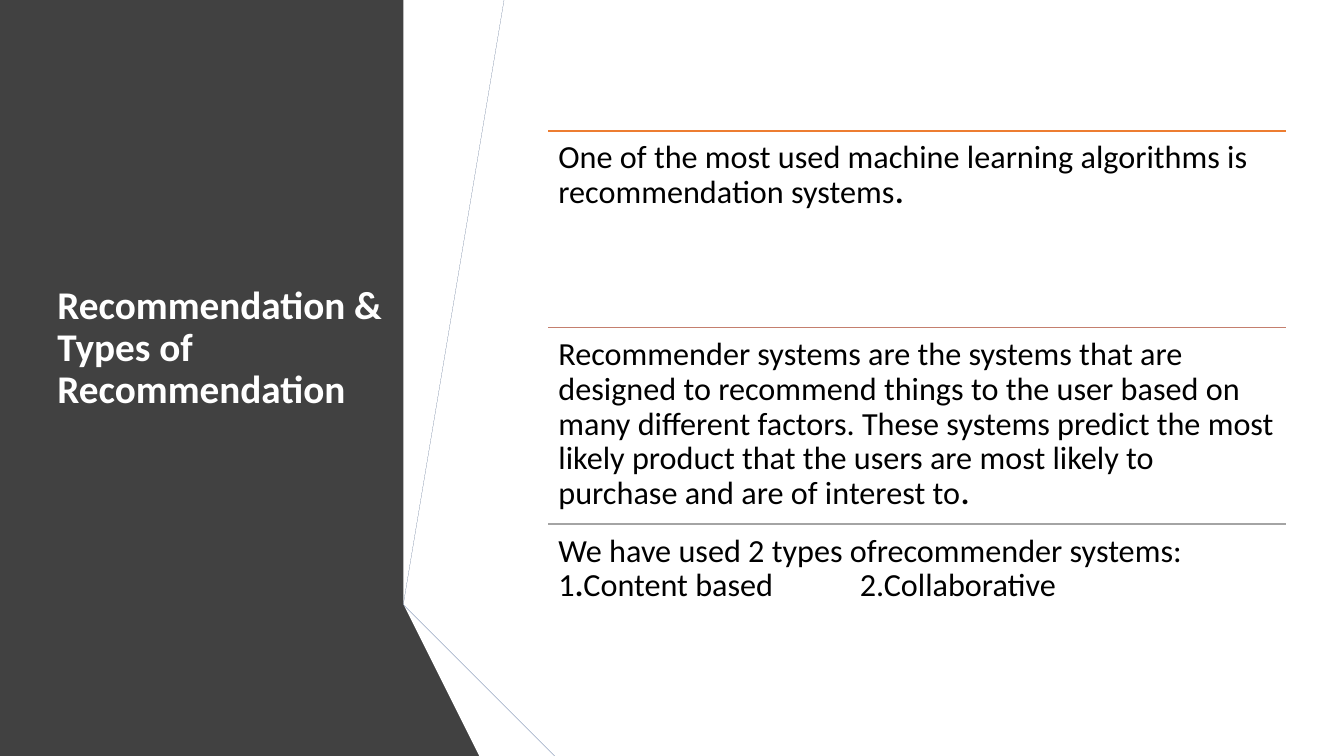
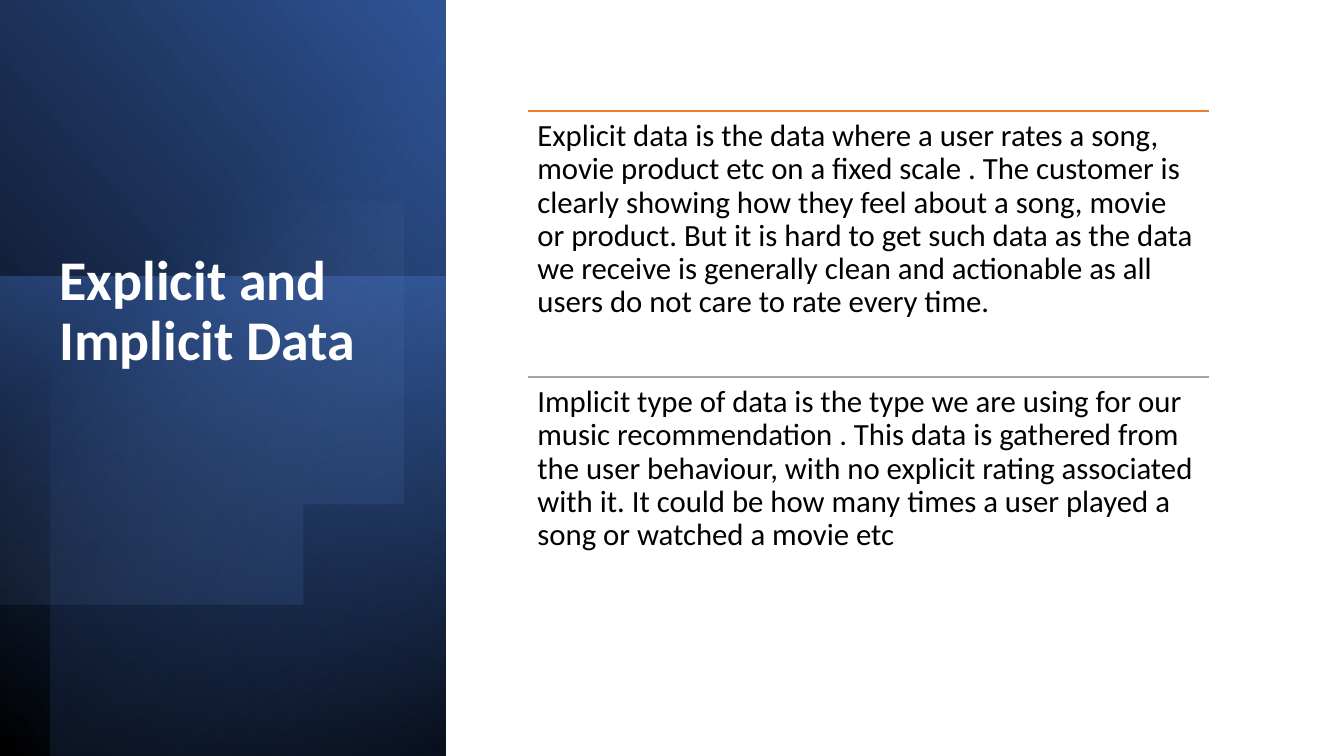
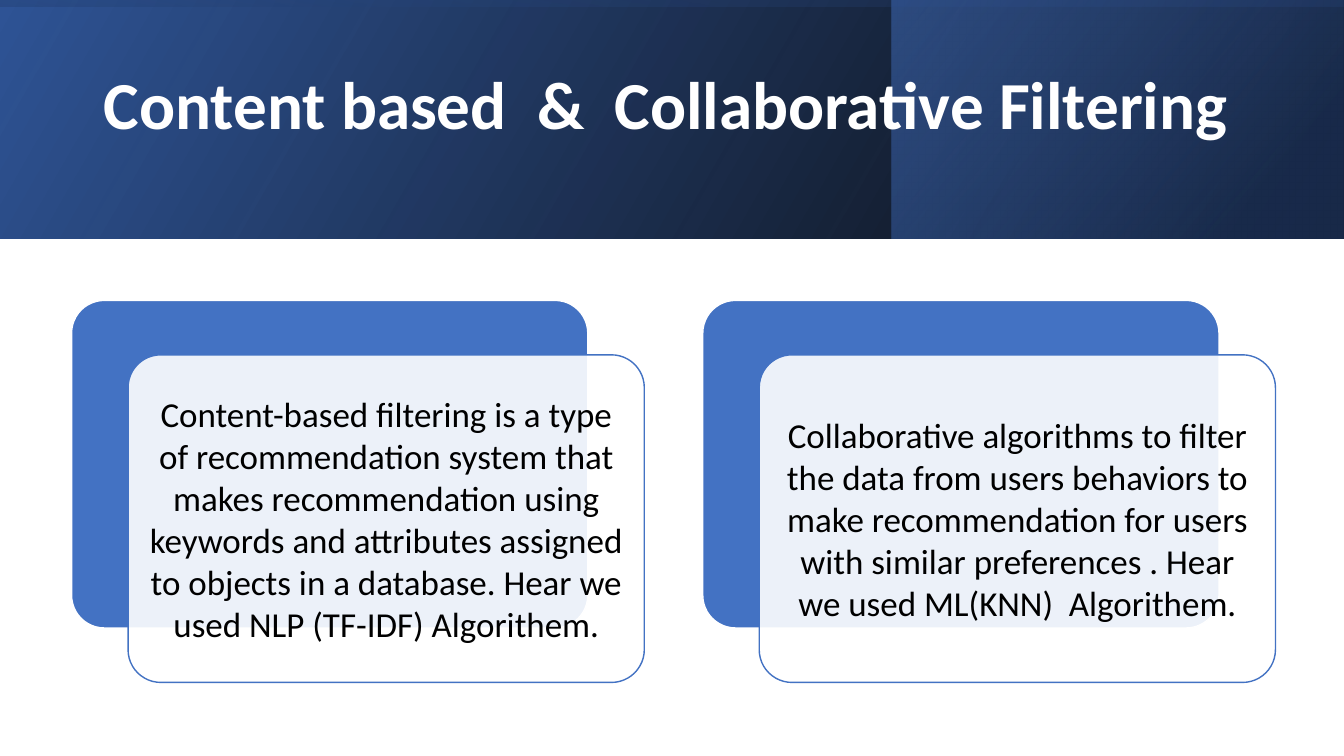
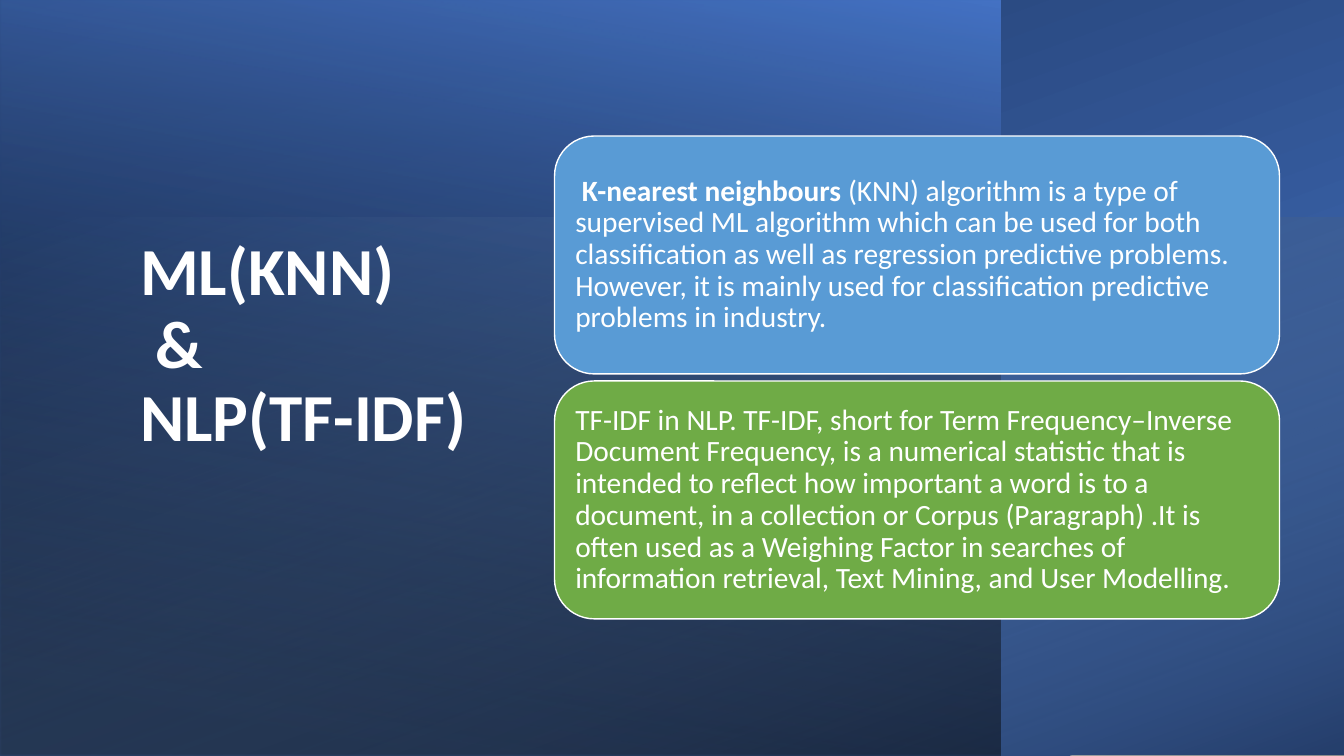
"""Build four slides on recommendation systems."""
from dataclasses import dataclass
from math import acos, cos, sin

from lxml import etree
from pptx import Presentation
from pptx.dml.color import RGBColor
from pptx.enum.shapes import MSO_CONNECTOR, MSO_SHAPE
from pptx.enum.text import MSO_ANCHOR, MSO_AUTO_SIZE, PP_ALIGN
from pptx.oxml import parse_xml
from pptx.oxml.ns import nsdecls, qn
from pptx.util import Inches, Pt

RECTANGLE, ROUNDED = MSO_SHAPE.RECTANGLE, MSO_SHAPE.ROUNDED_RECTANGLE
STRAIGHT = MSO_CONNECTOR.STRAIGHT
TOP, MIDDLE = MSO_ANCHOR.TOP, MSO_ANCHOR.MIDDLE
LEFT, CENTER = PP_ALIGN.LEFT, PP_ALIGN.CENTER
NO_FIT = MSO_AUTO_SIZE.NONE
TITLE_ONLY = 5


@dataclass(frozen=True)
class Theme:
    font: str = "Calibri"
    white: str = "FFFFFF"
    black: str = "000000"
    charcoal: str = "414141"
    gray: str = "595959"
    dark_gray: str = "404040"
    fold_gray: str = "262626"
    blue: str = "4472C4"
    card_blue: str = "4372C3"
    deep_blue: str = "2F5496"
    navy: str = "1F3864"
    pale_blue: str = "8DA9DB"
    sky: str = "9CC2E5"
    light_blue: str = "599BD5"
    green: str = "6FAB46"
    orange: str = "ED7D31"
    rose: str = "C47F6E"
    silver: str = "A4A4A4"
    title_small: int = 28
    title_medium: int = 40
    title_large: int = 48
    row_large: int = 23
    row_small: int = 22
    card: int = 25
    box: int = 21


THEME = Theme()

RIBBONS = [
    (THEME.charcoal, [(0, 0), (4.49, 0), (3.56, 5.75), (4.82, 7.5), (0, 7.5)]),
    (THEME.blue, [(3.96, 5.78), (4.23, 5.83), (5.19, 0), (4.91, 0)]),
    (THEME.gray, [(4.85, 0), (4.57, 0), (3.63, 5.73), (3.9, 5.77)]),
    (THEME.fold_gray, [(3.63, 5.73), (4.91, 7.5), (4.97, 7.5)]),
    (THEME.navy, [(3.96, 5.79), (5.54, 7.5), (5.6, 7.5)]),
    (THEME.deep_blue, [(3.96, 5.79), (5.6, 7.5), (6.29, 7.5), (4.23, 5.83), (3.96, 5.78)]),
    (THEME.dark_gray, [(5.48, 7.5), (3.95, 5.83), (3.89, 5.77), (3.63, 5.73), (4.97, 7.5)]),
]

INTRO_ROWS = [
    (THEME.orange, [
        ("One of the most used machine learning algorithms is recommendation systems", False),
        (".", True)]),
    (THEME.rose, [
        ("Recommender systems are the systems that are designed to recommend things to the user "
         "based on many different factors. These systems predict the most likely product that "
         "the users are most likely to purchase and are of interest to", False),
        (".", True)]),
    (THEME.silver, [
        ("We have used 2 types ofrecommender systems:\n1", False),
        (".", True),
        ("Content based\t2.Collaborative", False)]),
]

DATA_ROWS = [
    (THEME.orange, [
        ("Explicit data is the data where a user rates a song, movie product etc on a "
         "fixed scale . The customer is clearly showing how they feel about a song, movie "
         "or product. But it is hard to get such data as the data we receive is generally "
         "clean and actionable as all users do not care to rate every time.", False)]),
    (THEME.silver, [
        ("Implicit type of data is the type we are using for our music recommendation . "
         "This data is gathered from the user behaviour, with no explicit rating associated "
         "with it. It could be how many times a user played a song or watched a movie etc",
         False)]),
]

FILTER_CARDS = [
    "Content-based filtering is a type of recommendation system that makes recommendation "
    "using keywords and attributes assigned to objects in a database. Hear we used "
    "NLP (TF-IDF) Algorithem.",
    "Collaborative algorithms to filter the data from users behaviors to make recommendation "
    "for users with similar preferences . Hear we used ML(KNN)  Algorithem.",
]

ALGORITHM_BOXES = [
    (THEME.light_blue, [
        (" K-nearest neighbours", True),
        (" (KNN) algorithm is a type of supervised ML algorithm which can be used for both "
         "classification as well as regression predictive problems. However, it is mainly used "
         "for classification predictive problems in industry.", False)]),
    (THEME.green, [
        ("TF-IDF in NLP. TF-IDF, short for Term Frequency–Inverse Document Frequency, is a "
         "numerical statistic that is intended to reflect how important a word is to a document, "
         "in a collection or Corpus (Paragraph) .It is often used as a Weighing Factor in "
         "searches of information retrieval, Text Mining, and User Modelling.", False)]),
]

# Each panel: box, rotation, flipped, gradient angle, stops of (position, colour, opacity).
DATA_PANELS = [
    ((-1.55, 1.55, 7.52, 4.42), 90, True, 310,
     [(0, THEME.black, 100), (100, THEME.deep_blue, 100)]),
    ((-0.17, 2.91, 4.76, 4.42), 270, False, 190,
     [(0, THEME.blue, 50), (100, THEME.navy, 0)]),
    ((-1.29, 1.79, 7.5, 3.92), 270, True, 220,
     [(0, THEME.black, 59), (69, THEME.blue, 0), (100, THEME.blue, 0)]),
]
DISC_STOPS = [(0, THEME.pale_blue, 0), (39, THEME.pale_blue, 0), (100, THEME.deep_blue, 26)]

FILTER_PANELS = [
    ((0, 0, 13.33, 2.37), 0, True, 330,
     [(0, THEME.black, 96), (100, THEME.deep_blue, 100)]),
    ((8.84, 0, 4.48, 2.37), 0, True, 320,
     [(0, THEME.navy, 68), (19, THEME.navy, 68), (100, THEME.blue, 48)]),
    ((5.48, -5.48, 2.37, 13.33), 270, True, 350,
     [(0, THEME.deep_blue, 16), (23, THEME.deep_blue, 16),
      (99, THEME.black, 45), (100, THEME.black, 45)]),
]

ALGORITHM_PANELS = [
    ((2.92, -2.92, 7.5, 13.33), 270, True, 200,
     [(0, THEME.blue, 100), (8, THEME.blue, 100), (100, THEME.navy, 100)]),
    ((0, 0, 9.92, 7.5), 180, True, 80,
     [(0, THEME.black, 52), (8, THEME.black, 52), (100, THEME.blue, 100)]),
    ((3.99, -1.84, 5.35, 13.34), 270, True, 20,
     [(0, THEME.sky, 0), (100, THEME.black, 46)]),
]


def inches(box):
    return [Inches(length) for length in box]


def write(frame, runs, *, size, color, bold=False, align=LEFT, anchor=TOP,
          inset=(0.1, 0.1), spacing=0.9, tab=None):
    frame.word_wrap = True
    frame.auto_size = NO_FIT
    frame.vertical_anchor = anchor
    frame.margin_left = frame.margin_right = Inches(inset[0])
    frame.margin_top = frame.margin_bottom = Inches(inset[1])
    paragraph = frame.paragraphs[0]
    paragraph.alignment = align
    paragraph.line_spacing = spacing
    if tab:
        tabs = etree.SubElement(paragraph._p.get_or_add_pPr(), qn("a:tabLst"))
        etree.SubElement(tabs, qn("a:tab"), pos=str(Inches(tab)), algn="l")
    for text, strong in runs:
        for index, line in enumerate(text.split("\n")):
            if index:
                paragraph.add_line_break()
            run = paragraph.add_run()
            run.text = line
            run.font.name = THEME.font
            run.font.size = Pt(size)
            run.font.bold = bold or strong
            run.font.color.rgb = RGBColor.from_string(color)


def paint(shape, color, *, line=None, opacity=100):
    shape.shadow.inherit = False
    shape.fill.solid()
    shape.fill.fore_color.rgb = RGBColor.from_string(color)
    if opacity < 100:
        solid = shape._element.spPr.find(qn("a:solidFill"))
        etree.SubElement(solid[0], qn("a:alpha"), val=str(opacity * 1000))
    if line:
        shape.line.color.rgb = RGBColor.from_string(line)
        shape.line.width = Pt(1)
    else:
        shape.line.fill.background()


def paint_gradient(shape, angle, stops):
    paint(shape, THEME.white)
    stop_xml = "".join(
        f'<a:gs pos="{position * 1000}"><a:srgbClr val="{color}">'
        f'<a:alpha val="{opacity * 1000}"/></a:srgbClr></a:gs>'
        for position, color, opacity in stops)
    gradient = parse_xml(
        f'<a:gradFill {nsdecls("a")} rotWithShape="1"><a:gsLst>{stop_xml}</a:gsLst>'
        f'<a:lin ang="{round(angle * 60000)}" scaled="0"/></a:gradFill>')
    properties = shape._element.spPr
    properties.replace(properties.find(qn("a:solidFill")), gradient)


def add_panels(slide, panels):
    for box, rotation, flipped, angle, stops in panels:
        panel = slide.shapes.add_shape(RECTANGLE, *inches(box))
        panel.rotation = rotation
        if flipped:
            panel._element.spPr.find(qn("a:xfrm")).set("flipH", "1")
        paint_gradient(panel, angle, stops)


def add_outline(slide, points):
    builder = slide.shapes.build_freeform(*points[0], scale=Inches(1))
    builder.add_line_segments(points[1:], close=True)
    return builder.convert_to_shape()


def add_disc(slide, center_x, center_y, radius):
    limit = acos(-center_x / radius)
    steps = 90
    angles = [limit * (2 * step / steps - 1) for step in range(steps + 1)]
    points = [(center_x + radius * cos(angle), center_y + radius * sin(angle))
              for angle in angles]
    paint_gradient(add_outline(slide, points), 51.6, DISC_STOPS)


def place_title(slide, text, box, *, size, anchor=TOP):
    title = slide.shapes.title
    title.left, title.top, title.width, title.height = inches(box)
    slide.shapes._spTree.append(title._element)
    write(title.text_frame, [(text, True)], size=size, color=THEME.white,
          anchor=anchor, inset=(0.1, 0.05))


def add_ruled_rows(slide, rows, left, top, width, pitch, *, size, inset, tab=None):
    for index, (color, runs) in enumerate(rows):
        row_top = top + index * pitch
        rule = slide.shapes.add_connector(
            STRAIGHT, *inches((left, row_top, left + width, row_top)))
        rule.line.color.rgb = RGBColor.from_string(color)
        rule.line.width = Pt(1)
        etree.SubElement(rule._element.spPr, qn("a:effectLst"))
        row = slide.shapes.add_textbox(*inches((left, row_top, width, pitch)))
        write(row.text_frame, runs, size=size, color=THEME.black,
              inset=(inset, inset), tab=tab)


def add_rounded(slide, box, color, *, corner, line, opacity=100):
    shape = slide.shapes.add_shape(ROUNDED, *inches(box))
    shape.adjustments[0] = corner
    paint(shape, color, line=line, opacity=opacity)
    return shape


def build_intro(slide):
    for color, points in RIBBONS:
        paint(add_outline(slide, points), color)
    place_title(slide, "Recommendation & Types of Recommendation", (0.47, 0.59, 4.15, 5.74),
                size=THEME.title_small, anchor=MIDDLE)
    add_ruled_rows(slide, INTRO_ROWS, 5.44, 1.3, 7.31, 1.95,
                   size=THEME.row_large, inset=0.1, tab=2.99)


def build_data(slide):
    add_panels(slide, DATA_PANELS)
    add_disc(slide, 1.43, 3.47, 2.63)
    place_title(slide, "Explicit and Implicit Data", (0.49, 2.45, 4.15, 4.53),
                size=THEME.title_medium)
    add_ruled_rows(slide, DATA_ROWS, 5.24, 1.1, 6.75, 2.64,
                   size=THEME.row_small, inset=0.09)


def build_filtering(slide):
    add_panels(slide, FILTER_PANELS)
    place_title(slide, "Content based  &  Collaborative Filtering", (0.93, 0.21, 15.3, 1.72),
                size=THEME.title_large, anchor=MIDDLE)
    width, height, pitch = 5.12, 3.25, 6.26
    for index, text in enumerate(FILTER_CARDS):
        left, top = 0.71 + index * pitch, 2.98
        add_rounded(slide, (left, top, width, height), THEME.card_blue,
                    corner=0.1, line=THEME.white)
        card = add_rounded(slide, (left + 0.56, top + 0.54, width, height), THEME.white,
                           corner=0.1, line=THEME.card_blue, opacity=90)
        write(card.text_frame, [(text, False)], size=THEME.card, color=THEME.black,
              align=CENTER, anchor=MIDDLE, spacing=1.0)


def build_algorithms(slide):
    add_panels(slide, ALGORITHM_PANELS)
    place_title(slide, "ML(KNN)\n &\nNLP(TF-IDF)", (1.29, 2.31, 5.52, 4.92),
                size=THEME.title_large)
    for index, (color, runs) in enumerate(ALGORITHM_BOXES):
        box = add_rounded(slide, (5.5, 1.35 + index * 2.43, 7.19, 2.36), color,
                          corner=0.167, line=THEME.white)
        write(box.text_frame, runs, size=THEME.box, color=THEME.white,
              anchor=MIDDLE, inset=(0.09, 0.09))


def main():
    presentation = Presentation()
    presentation.slide_width, presentation.slide_height = Inches(13.33), Inches(7.5)
    layout = presentation.slide_layouts[TITLE_ONLY]
    for build in (build_intro, build_data, build_filtering, build_algorithms):
        build(presentation.slides.add_slide(layout))
    presentation.save("out.pptx")


if __name__ == "__main__":
    main()
